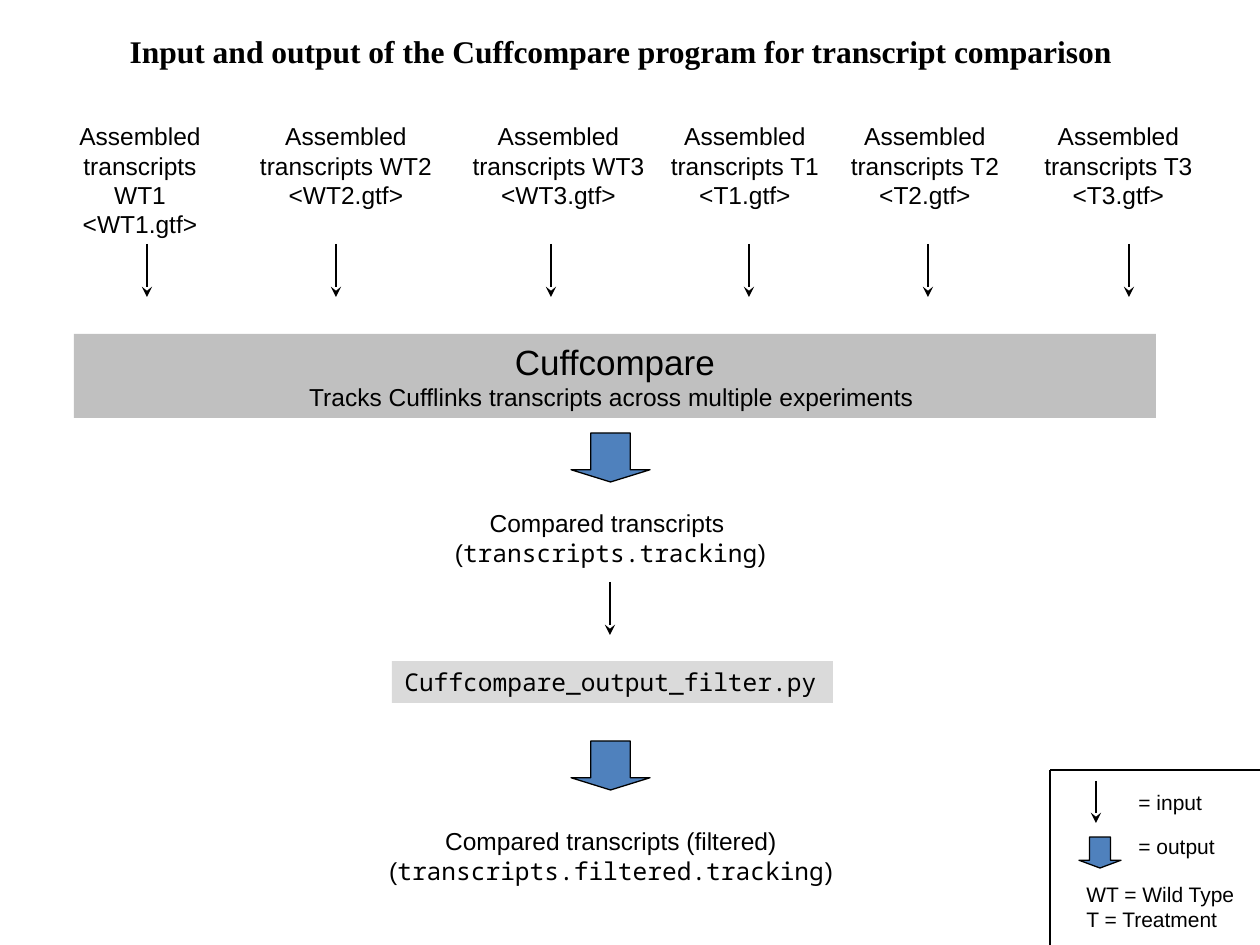
import pptx
import pptx.dml.color
import pptx.enum.shapes
import pptx.enum.text
import pptx.oxml
import pptx.oxml.ns
import pptx.util

EMU_PER_PX = 914400 / 126
SANS, MONO, SERIF = "Arial", "Noto Sans Mono", "Times New Roman"
BLACK, GREY, BLUE = "000000", "C0C0C0", "4F81BD"
LEFT = pptx.enum.text.PP_ALIGN.LEFT
CENTER = pptx.enum.text.PP_ALIGN.CENTER
SHAPES = pptx.enum.shapes.MSO_SHAPE

# Sample name, text left, text width, arrow x
SAMPLES = [
    ("WT1", 42, 196, 147),
    ("WT2", 241, 210, 336),
    ("WT3", 455, 207, 551),
    ("T1", 650, 190, 749),
    ("T2", 832, 186, 928),
    ("T3", 1029, 179, 1129),
]


def px(*lengths):
    return [pptx.util.Emu(round(length * EMU_PER_PX)) for length in lengths]


def paint(color_format, color):
    color_format.rgb = pptx.dml.color.RGBColor.from_string(color)


def fill_text(shape, lines, size, alignment=CENTER, wrap=True):
    """Write lines, each a list of (text, font) runs; size is one number or one per line."""
    frame = shape.text_frame
    frame.word_wrap = wrap
    frame.auto_size = pptx.enum.text.MSO_AUTO_SIZE.SHAPE_TO_FIT_TEXT
    frame.vertical_anchor = pptx.enum.text.MSO_ANCHOR.TOP
    sizes = size if isinstance(size, list) else [size] * len(lines)
    for index, (runs, points) in enumerate(zip(lines, sizes)):
        paragraph = frame.paragraphs[0] if index == 0 else frame.add_paragraph()
        paragraph.alignment = alignment
        for text, font in runs:
            run = paragraph.add_run()
            run.text = text
            run.font.name = font
            run.font.size = pptx.util.Pt(points)
            paint(run.font.color, BLACK)


def add_title(slide, text, box):
    title = slide.shapes.title
    title.left, title.top, title.width, title.height = px(*box)
    fill_text(title, [[(text, SERIF)]], 18, LEFT, wrap=False)
    title.text_frame.paragraphs[0].runs[0].font.bold = True


def add_label(slide, box, lines, size=14, alignment=CENTER, wrap=True):
    label = slide.shapes.add_textbox(*px(*box))
    fill_text(label, lines, size, alignment, wrap)


def add_shape(slide, kind, box, color):
    shape = slide.shapes.add_shape(kind, *px(*box))
    shape.shadow.inherit = False
    shape.fill.solid()
    paint(shape.fill.fore_color, color)
    shape.line.fill.background()
    return shape


def add_program(slide, box, lines, size, alignment=CENTER, wrap=True, opacity=100):
    shape = add_shape(slide, SHAPES.RECTANGLE, box, GREY)
    if opacity < 100:
        color = shape._element.spPr.find(".//" + pptx.oxml.ns.qn("a:srgbClr"))
        color.append(pptx.oxml.parse_xml(
            f'<a:alpha {pptx.oxml.ns.nsdecls("a")} val="{opacity * 1000}"/>'))
    fill_text(shape, lines, size, alignment, wrap)


def add_output_arrow(slide, *box):
    arrow = add_shape(slide, SHAPES.DOWN_ARROW, box, BLUE)
    arrow.adjustments[0] = 0.5
    arrow.adjustments[1] = 0.25
    paint(arrow.line.color, BLACK)
    arrow.line.width = pptx.util.Pt(0.75)


def add_line(slide, start, end, arrowhead=False):
    connector = slide.shapes.add_connector(
        pptx.enum.shapes.MSO_CONNECTOR.STRAIGHT, *px(*start, *end))
    paint(connector.line.color, BLACK)
    connector.line.width = pptx.util.Pt(0.75)
    namespace = pptx.oxml.ns.nsdecls("a")
    if arrowhead:
        connector.get_or_add_ln().append(
            pptx.oxml.parse_xml(f'<a:tailEnd {namespace} type="stealth"/>'))
    connector._element.spPr.append(pptx.oxml.parse_xml(f"<a:effectLst {namespace}/>"))


def add_input_arrow(slide, x, top, length=53):
    add_line(slide, (x, top), (x, top + length), arrowhead=True)


def add_samples(slide):
    for name, left, width, arrow_x in SAMPLES:
        add_label(slide, (left, 115, width, 102),
                  [[(f"Assembled transcripts {name}", SANS)], [(f"<{name}.gtf>", SANS)]])
        add_input_arrow(slide, arrow_x, 244)


def add_result(slide, box, caption, filename):
    lines = [[(caption, SANS)], [("(", SANS), (filename, MONO), (")", SANS)]]
    add_label(slide, box, lines, wrap=False)


def add_legend(slide):
    add_line(slide, (1260, 770), (1050, 770))
    add_line(slide, (1050, 770), (1050, 949))
    add_input_arrow(slide, 1096, 781, 42)
    add_output_arrow(slide, 1079, 837, 42, 31)
    add_label(slide, (1126, 783, 96, 38), [[("= input", SANS)]], 12, LEFT)
    add_label(slide, (1126, 827, 102, 38), [[("= output", SANS)]], 12, LEFT, wrap=False)
    add_label(slide, (1074, 875, 175, 63),
              [[("WT = Wild Type", SANS)], [("T = Treatment", SANS)]], 12, LEFT, wrap=False)


def main():
    presentation = pptx.Presentation()
    presentation.slide_width, presentation.slide_height = px(1260, 945)
    slide = presentation.slides.add_slide(presentation.slide_layouts[5])

    add_title(slide, "Input and output of the Cuffcompare program for transcript comparison",
              (117, 26, 1018, 50))
    add_samples(slide)
    add_program(slide, (74, 334, 1082, 84),
                [[("Cuffcompare", SANS)],
                 [("Tracks Cufflinks transcripts across multiple experiments ", SANS)]],
                [20, 14])
    add_output_arrow(slide, 571, 433, 79, 49)
    add_result(slide, (441, 502, 339, 72), "Compared transcripts ", "transcripts.tracking")
    add_input_arrow(slide, 610, 582)
    add_program(slide, (392, 661, 441, 42), [[("Cuffcompare_output_filter.py", MONO)]],
                14, LEFT, wrap=False, opacity=58)
    add_output_arrow(slide, 571, 741, 79, 49)
    add_result(slide, (375, 820, 472, 72), "Compared transcripts (filtered)",
               "transcripts.filtered.tracking")
    add_legend(slide)

    presentation.save("out.pptx")


if __name__ == "__main__":
    main()
